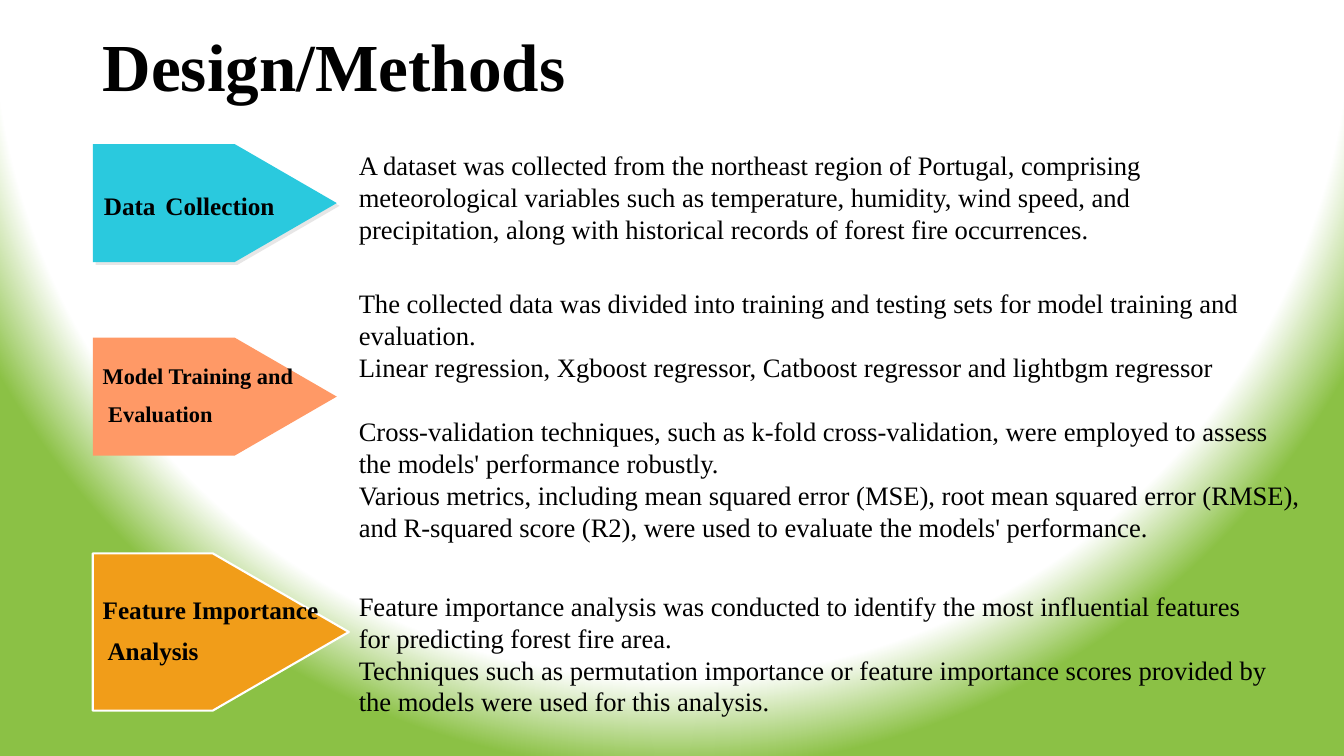
from dataclasses import dataclass

from lxml import etree
from pptx import Presentation
from pptx.dml.color import RGBColor
from pptx.enum import shapes, text
from pptx.oxml import parse_xml
from pptx.oxml.ns import nsdecls, qn
from pptx.util import Inches, Pt


@dataclass(frozen=True)
class Theme:
    font: str = "Times New Roman"
    ink: str = "000000"
    white: str = "FFFFFF"
    green: str = "8BC145"
    cyan: str = "2AC9DE"
    coral: str = "FF9966"
    orange: str = "F19D19"
    shadow: str = "E7E6E6"
    title: int = 48
    label: int = 18
    small_label: int = 16
    gap: int = 28
    body: float = 19
    blank_line: float = 22.8


THEME = Theme()


def format_run(r, size, bold=False):
    r.font.name = THEME.font
    r.font.size = Pt(size)
    r.font.bold = bold
    r.font.color.rgb = RGBColor.from_string(THEME.ink)


def set_background(s):
    """Radial glow: white centre above the slide, green at the rim."""
    stops = "".join(
        f'<a:gs pos="{pos * 1000}"><a:srgbClr val="{color}"/></a:gs>'
        for pos, color in ((0, THEME.white), (88, THEME.white), (100, THEME.green)))
    bg = parse_xml(
        f'<p:bg {nsdecls("p", "a")}><p:bgPr><a:gradFill rotWithShape="1">'
        f'<a:gsLst>{stops}</a:gsLst><a:path path="circle">'
        '<a:fillToRect l="50000" t="-80000" r="50000" b="180000"/></a:path>'
        '</a:gradFill><a:effectLst/></p:bgPr></p:bg>')
    s.element.cSld.insert(0, bg)


def add_text(s, box, paragraphs, size, bold=False):
    sp = s.shapes.add_textbox(*(Inches(v) for v in box))
    tf = sp.text_frame
    tf.word_wrap = True
    tf.text = "\n".join(paragraphs)
    for p in tf.paragraphs:
        for r in p.runs:
            format_run(r, size, bold)
    return tf


def add_title(s, title):
    tf = add_text(s, (0.92, 0.4, 11.5, 0.58), [title], THEME.title, bold=True)
    tf.vertical_anchor = text.MSO_ANCHOR.MIDDLE
    tf.paragraphs[0].line_spacing = 0.9


def add_body(s, top, width, height, paragraphs):
    tf = add_text(s, (3.46, top, width, height), paragraphs, THEME.body)
    tf.auto_size = text.MSO_AUTO_SIZE.SHAPE_TO_FIT_TEXT
    return tf


def add_step(s, top, width, height, color, lines):
    """Pentagon arrow; each line is a list of (text, size) runs."""
    sp = s.shapes.add_shape(shapes.MSO_SHAPE.PENTAGON, Inches(0.92), Inches(top),
                            Inches(width), Inches(height))
    sp.adjustments[0] = 0.865
    sp.shadow.inherit = False
    sp.fill.solid()
    sp.fill.fore_color.rgb = RGBColor.from_string(color)
    sp.line.fill.background()
    tf = sp.text_frame
    tf.word_wrap = False
    tf.vertical_anchor = text.MSO_ANCHOR.MIDDLE
    for i, runs in enumerate(lines):
        p = tf.add_paragraph() if i else tf.paragraphs[0]
        p.alignment = text.PP_ALIGN.LEFT
        p.line_spacing = 0.9
        p.space_before = Pt(10)
        for words, size in runs:
            r = p.add_run()
            r.text = words
            format_run(r, size, bold=True)
    return sp


def add_shadow(sp):
    effects = sp._element.spPr.find(qn("a:effectLst"))
    shadow = etree.SubElement(effects, qn("a:outerShdw"), blurRad="0",
                              dist=str(Pt(2.8)), dir="2700000", algn="tl")
    etree.SubElement(shadow, qn("a:srgbClr"), val=THEME.shadow)


def main():
    prs = Presentation()
    prs.slide_width, prs.slide_height = Inches(13.33), Inches(7.5)
    s = prs.slides.add_slide(prs.slide_layouts[6])
    set_background(s)
    add_title(s, "Design/Methods")

    # Step arrows
    collection = add_step(s, 1.43, 2.42, 1.17, THEME.cyan, [
        [("Data", THEME.label), (" ", THEME.gap), ("Collection", THEME.label)]])
    collection.text_frame.paragraphs[0].alignment = text.PP_ALIGN.CENTER
    add_shadow(collection)
    add_step(s, 3.35, 2.42, 1.17, THEME.coral, [
        [("Model Training and", THEME.small_label)],
        [(" Evaluation", THEME.small_label)]])
    importance = add_step(s, 5.49, 2.54, 1.56, THEME.orange, [
        [("Feature Importance", THEME.label)],
        [(" Analysis", THEME.label)]])
    importance.line.color.rgb = RGBColor.from_string(THEME.white)
    importance.line.width = Pt(1.5)

    # Step descriptions
    add_body(s, 1.43, 9.28, 1.06, [
        "A dataset was collected from the northeast region of Portugal, comprising "
        "meteorological variables such as temperature, humidity, wind speed, and "
        "precipitation, along with historical records of forest fire occurrences."])
    training = add_body(s, 2.8, 9.55, 2.66, [
        "The collected data was divided into training and testing sets for model "
        "training and evaluation.",
        "Linear regression, Xgboost regressor, Catboost regressor and lightbgm regressor",
        "Cross-validation techniques, such as k-fold cross-validation, were employed "
        "to assess the models' performance robustly.",
        "Various metrics, including mean squared error (MSE), root mean squared error "
        "(RMSE), and R-squared score (R2), were used to evaluate the models' performance."])
    training.paragraphs[2].space_before = Pt(THEME.blank_line)
    add_body(s, 5.8, 9.28, 1.38, [
        "Feature importance analysis was conducted to identify the most influential "
        "features for predicting forest fire area.",
        "Techniques such as permutation importance or feature importance scores "
        "provided by the models were used for this analysis."])

    prs.save("out.pptx")


if __name__ == "__main__":
    main()
